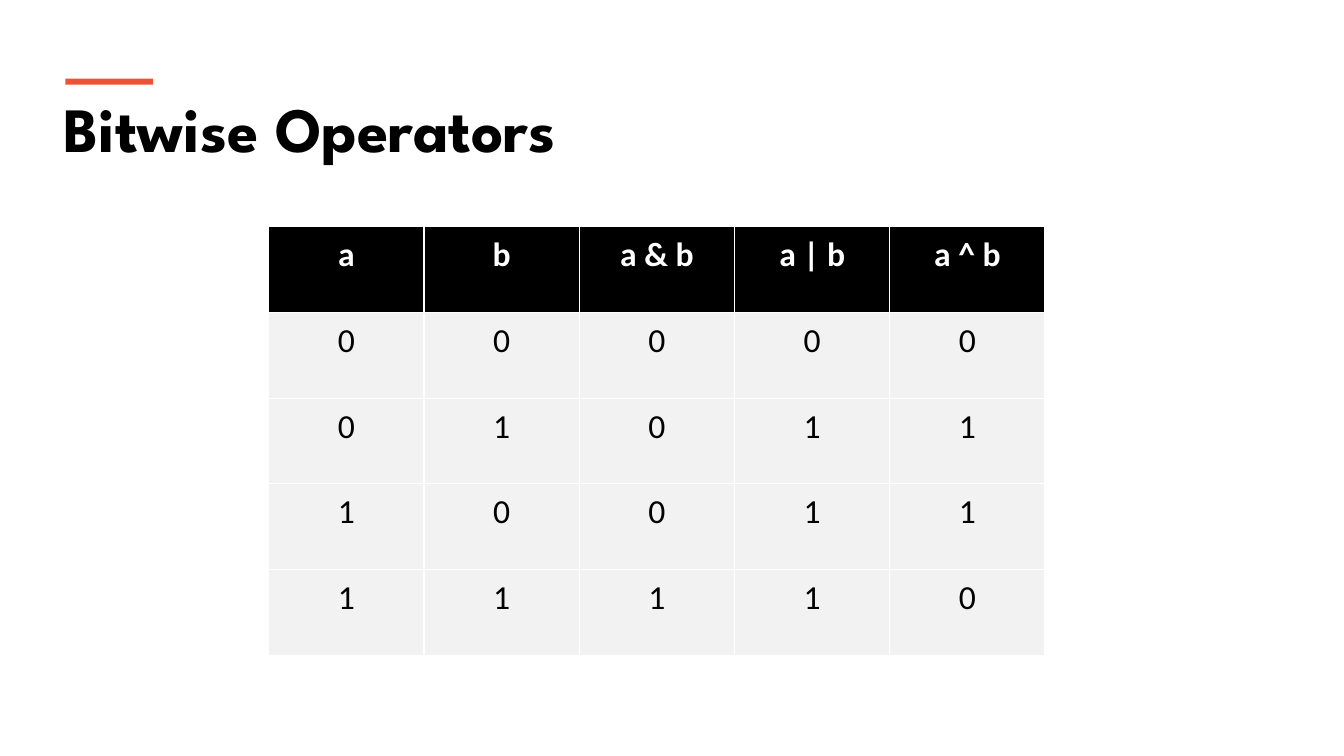
import pptx
import pptx.dml.color
import pptx.enum.shapes
import pptx.enum.text
import pptx.oxml
import pptx.oxml.ns
import pptx.util

Inches, Pt = pptx.util.Inches, pptx.util.Pt
WIDTH, HEIGHT = 13.33, 7.5
BLACK, WHITE, ORANGE, GREY = "000000", "FFFFFF", "F05136", "F2F2F2"
HEADINGS = ["a", "b", "a & b", "a | b", "a ^ b"]
BITS = [(0, 0), (0, 1), (1, 0), (1, 1)]


def paint(fmt, color):
    """Give a fill format a solid colour."""
    fmt.solid()
    fmt.fore_color.rgb = pptx.dml.color.RGBColor.from_string(color)


def add_run(p, text, font, size, color, bold):
    r = p.add_run()
    r.text = text
    r.font.name, r.font.size, r.font.bold = font, Pt(size), bold
    paint(r.font.fill, color)


def add_cell_borders(cell, color, width):
    tc_pr = cell._tc.get_or_add_tcPr()
    for i, side in enumerate("LRTB"):
        tc_pr.insert(i, pptx.oxml.parse_xml(
            f'<a:ln{side} {pptx.oxml.ns.nsdecls("a")} w="{Pt(width)}">'
            f'<a:solidFill><a:srgbClr val="{color}"/></a:solidFill></a:ln{side}>'))


def add_title(slide, text, left, top, width, height):
    """Place the title with its accent bar above the text."""
    title = slide.shapes.title
    title.left, title.top = Inches(left), Inches(top)
    title.width, title.height = Inches(width), Inches(height)
    tf = title.text_frame
    tf.word_wrap = True
    tf.auto_size = pptx.enum.text.MSO_AUTO_SIZE.NONE
    tf.vertical_anchor = pptx.enum.text.MSO_ANCHOR.TOP
    tf.margin_left = tf.margin_right = tf.margin_top = tf.margin_bottom = Inches(0.05)
    p = tf.paragraphs[0]
    p.alignment = pptx.enum.text.PP_ALIGN.LEFT
    add_run(p, text, "League Spartan", 45, BLACK, True)

    bar = slide.shapes.add_shape(
        pptx.enum.shapes.MSO_SHAPE.RECTANGLE,
        Inches(left + 0.07), Inches(top - 0.06), Inches(0.87), Inches(0.06))
    bar.shadow.inherit = False
    paint(bar.fill, ORANGE)
    bar.line.fill.background()


def add_truth_table(slide, left, top, width, height):
    rows = [HEADINGS] + [[str(v) for v in (a, b, a & b, a | b, a ^ b)] for a, b in BITS]
    table = slide.shapes.add_table(
        len(rows), len(HEADINGS),
        Inches(left), Inches(top), Inches(width), Inches(height)).table
    for column in table.columns:
        column.width = Inches(width / len(HEADINGS))
    for i, values in enumerate(rows):
        table.rows[i].height = Inches(height / len(rows))
        header = i == 0
        for j, value in enumerate(values):
            cell = table.cell(i, j)
            cell.margin_left = cell.margin_right = Inches(0.08)
            cell.margin_top = cell.margin_bottom = Inches(0.08)
            paint(cell.fill, BLACK if header else GREY)
            add_cell_borders(cell, WHITE, 1)
            p = cell.text_frame.paragraphs[0]
            p.alignment = pptx.enum.text.PP_ALIGN.CENTER
            add_run(p, value, "Calibri", 24, WHITE if header else BLACK, header)


def main():
    prs = pptx.Presentation()
    prs.slide_width, prs.slide_height = Inches(WIDTH), Inches(HEIGHT)
    slide = prs.slides.add_slide(prs.slide_layouts[5])
    paint(slide.background.fill, WHITE)
    add_title(slide, "Bitwise Operators", 0.58, 0.84, 12.18, 0.86)
    add_truth_table(slide, WIDTH * 0.2, HEIGHT * 0.3, 7.7, 4.25)
    prs.save("out.pptx")


if __name__ == "__main__":
    main()
